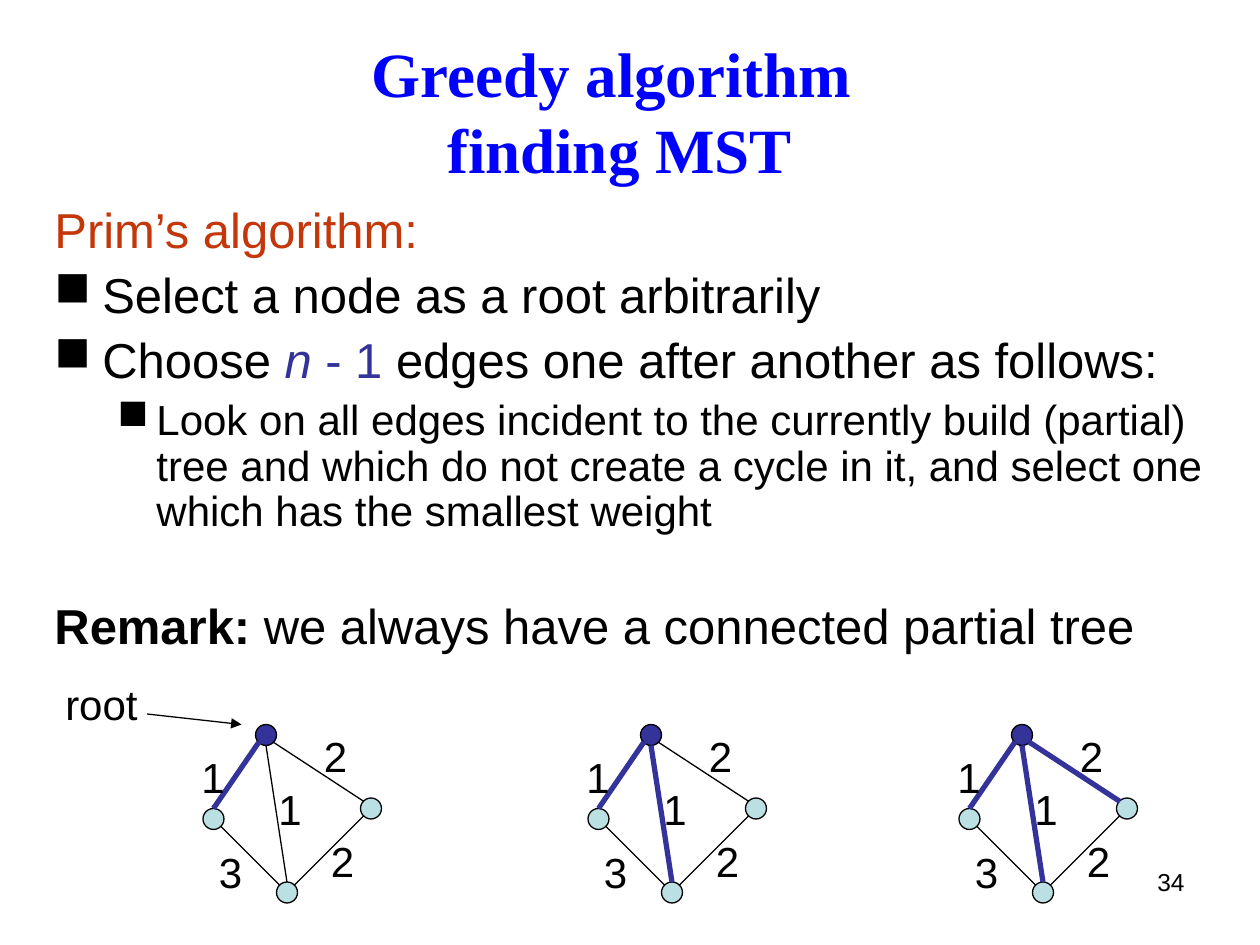
from lxml.etree import SubElement
from pptx import Presentation
from pptx.dml.color import RGBColor
from pptx.enum.shapes import MSO_CONNECTOR as CONN, MSO_SHAPE as SHAPE
from pptx.enum.text import MSO_ANCHOR as ANCHOR, PP_ALIGN as ALIGN
from pptx.oxml.ns import qn
from pptx.util import Inches, Pt

BLACK = RGBColor(0, 0, 0)
BLUE = RGBColor(0, 0, 0xFF)
INDIGO = RGBColor(0x33, 0x33, 0x99)
RUST = RGBColor(0xC3, 0x37, 0x0B)
PALE = RGBColor(0xBB, 0xE0, 0xE3)

prs = Presentation()
prs.slide_width, prs.slide_height = Inches(10), Inches(7.5)
s = prs.slides.add_slide(prs.slide_layouts[6])
U = Inches(1) // 36  # grid step: 360 columns by 270 rows


def add_text(x, y, w, h, paragraphs, size=24, font="Arial", color=BLACK,
             align=ALIGN.CENTER, anchor=ANCHOR.MIDDLE, wrap=False):
    """Each paragraph is (runs, format); each run is (text, format)."""
    if isinstance(paragraphs, str):
        paragraphs = [([(paragraphs, {})], {})]
    tf = s.shapes.add_textbox(x * U, y * U, w * U, h * U).text_frame
    tf.word_wrap, tf.vertical_anchor = wrap, anchor
    for i, (runs, fmt) in enumerate(paragraphs):
        p = tf.paragraphs[0] if i == 0 else tf.add_paragraph()
        p.alignment = align
        p.level = fmt.get("level", 0)
        if "before" in fmt:
            p.line_spacing, p.space_before = 0.9, Pt(fmt["before"])
        pPr = p._p.get_or_add_pPr()
        if "indent" in fmt:
            margin, first = fmt["indent"]
            pPr.set("marL", str(Inches(margin)))
            pPr.set("indent", str(Inches(first)))
        if fmt.get("bullet"):
            clr = SubElement(pPr, qn("a:buClr"))
            SubElement(clr, qn("a:srgbClr"), val=str(BLACK))
            SubElement(pPr, qn("a:buChar"), char="■")
        for text, look in runs:
            for n, part in enumerate(text.split("\n")):
                if n:
                    p.add_line_break()
                r = p.add_run()
                r.text = part
                r.font.name = font
                r.font.size = Pt(fmt.get("size", size))
                r.font.bold = look.get("bold", False)
                r.font.italic = look.get("italic", False)
                r.font.color.rgb = look.get("color", color)


def add_line(x1, y1, x2, y2, color=BLACK, width=0.75, arrow=False):
    c = s.shapes.add_connector(CONN.STRAIGHT, x1 * U, y1 * U, x2 * U, y2 * U)
    c.line.color.rgb, c.line.width = color, Pt(width)
    if arrow:
        SubElement(c.line._get_or_add_ln(), qn("a:tailEnd"), type="triangle")
    SubElement(c._element.spPr, qn("a:effectLst"))


# Title
add_text(12, 9, 330, 45, [([("Greedy algorithm \nfinding MST", {"bold": True})], {})],
         size=36, font="Times New Roman", color=BLUE, wrap=True)

# Body
plain = {"before": 7, "indent": (0.38, -0.38)}
bullet = {**plain, "bullet": True}
sub_bullet = {"before": 6, "indent": (0.81, -0.31), "bullet": True, "level": 1, "size": 24}
remark = {**plain, "before": 38}
add_text(12, 57, 348, 147, [
    ([("Prim’s algorithm:", {"color": RUST})], plain),
    ([("Select a node as a root arbitrarily", {})], bullet),
    ([("Choose ", {}), ("n ", {"color": INDIGO, "italic": True}),
      ("- 1", {"color": INDIGO}), (" edges one after another as follows:", {})], bullet),
    ([("Look on all edges incident to the currently build (partial) tree and which "
       "do not create a cycle in it, and select one which has the smallest weight",
       {})], sub_bullet),
    ([("Remark:", {"bold": True}), (" we always have a connected partial tree", {})], remark),
], size=28, align=ALIGN.LEFT, anchor=ANCHOR.TOP, wrap=True)

# Graphs: same layout three times, with a growing set of chosen edges
NODE = 6
TOP = 207
nodes = [(4, 24, PALE), (19, 0, INDIGO), (49, 21, PALE), (25, 45, PALE)]
edges = {
    "root-right": (24, 5, 50, 22),
    "root-left": (20, 5, 7, 24),
    "left-bottom": (9, 29, 26, 46),
    "bottom-right": (30, 46, 50, 26),
    "root-bottom": (22, 6, 28, 45),
}
weights = [(0, 6, "1"), (22, 15, "1"), (35, 0, "2"), (37, 30, "2"), (5, 33, "3")]
steps = ["root-left", "root-bottom", "root-right"]

for count, left in enumerate((54, 164, 270), start=1):
    for x, y, fill in nodes:
        sp = s.shapes.add_shape(SHAPE.OVAL, (left + x) * U, (TOP + y) * U, NODE * U, NODE * U)
        sp.shadow.inherit = False
        sp.fill.solid()
        sp.fill.fore_color.rgb = fill
        sp.line.color.rgb, sp.line.width = BLACK, Pt(0.75)
    for name, (x1, y1, x2, y2) in edges.items():
        color, width = (INDIGO, 3) if name in steps[:count] else (BLACK, 0.75)
        add_line(left + x1, TOP + y1, left + x2, TOP + y2, color, width)
    for x, y, weight in weights:
        add_text(left + x, TOP + y, 13.5, 18, weight)

# Root label and its arrow
add_text(15, 192, 28, 18, "root")
add_line(42, 204, 69, 207, arrow=True)

# Slide number
add_text(258, 246, 84, 19, "34", size=14, align=ALIGN.RIGHT, anchor=ANCHOR.TOP, wrap=True)

prs.save("out.pptx")
